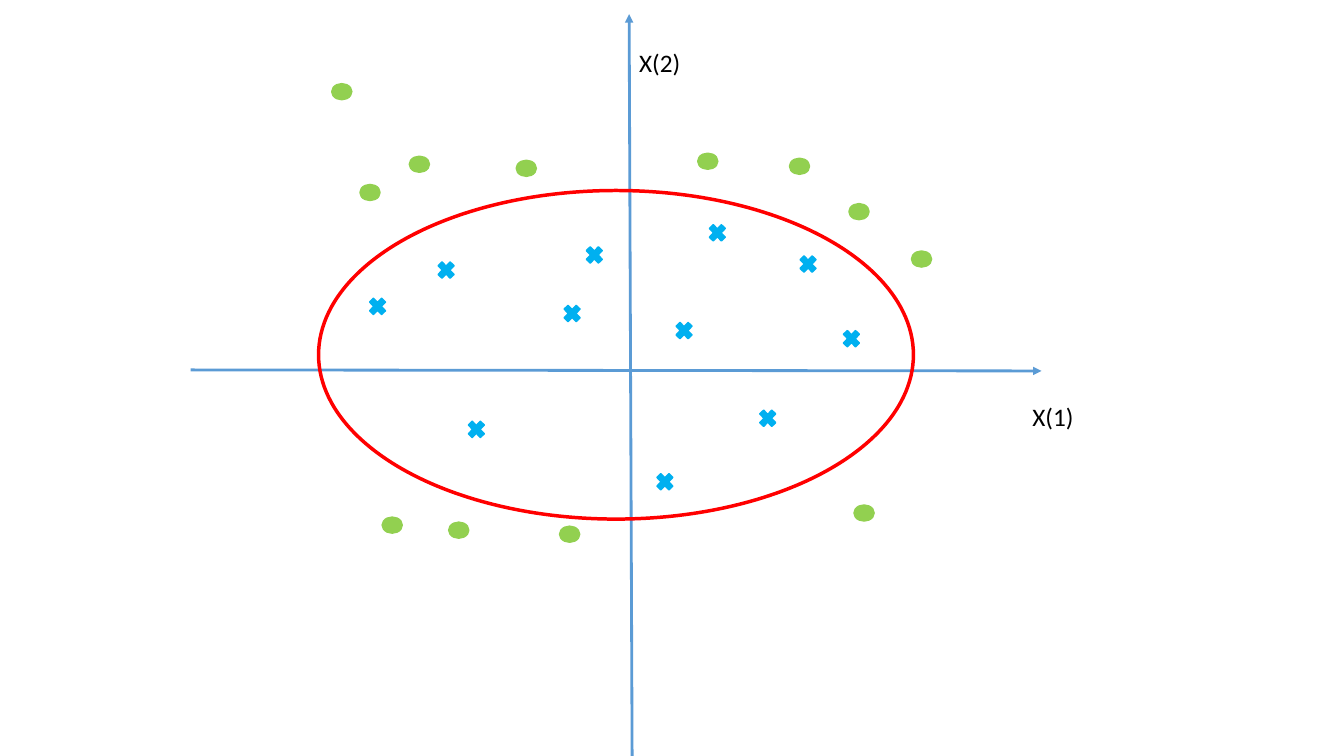
from lxml import etree
from pptx import Presentation
from pptx.dml.color import RGBColor
from pptx.enum.shapes import MSO_CONNECTOR, MSO_SHAPE
from pptx.enum.text import MSO_AUTO_SIZE
from pptx.oxml.ns import qn
from pptx.util import Inches, Pt

STRAIGHT = MSO_CONNECTOR.STRAIGHT
OVAL, CROSS = MSO_SHAPE.OVAL, MSO_SHAPE.MATH_MULTIPLY
FIT_TEXT = MSO_AUTO_SIZE.SHAPE_TO_FIT_TEXT

AXIS_BLUE = RGBColor(0x5B, 0x9B, 0xD5)
BOUNDARY_RED = RGBColor(0xFF, 0x00, 0x00)
OUTER_GREEN = RGBColor(0x92, 0xD0, 0x50)
INNER_BLUE = RGBColor(0x00, 0xB0, 0xF0)
BLACK = RGBColor(0, 0, 0)

# Axes: start x, start y, tip x, tip y
AXES = [(1.89, 3.67, 10.33, 3.68), (6.27, 7.57, 6.24, 0.14)]
AXIS_LABELS = [("X(1)", 10.14, 3.93), ("X(2)", 6.24, 0.42)]
LABEL_SIZE = (0.81, 0.4)
BOUNDARY = (3.16, 1.89, 5.9, 3.26)

# Left and top of each data point
OUTER_SIZE = (0.2, 0.16)
OUTER_POINTS = [
    (3.29, 0.83), (5.55, 5.22), (4.06, 1.55), (3.79, 5.13),
    (8.47, 5.01), (6.92, 1.52), (3.57, 1.83), (4.45, 5.18),
    (8.42, 2.02), (7.83, 1.57), (9.04, 2.49), (5.12, 1.59),
]
INNER_SIZE = (0.23, 0.24)
INNER_POINTS = [
    (6.67, 3.16), (5.78, 2.41), (7, 2.19), (4.31, 2.56),
    (7.9, 2.5), (6.48, 4.66), (8.33, 3.24), (4.61, 4.14),
    (3.63, 2.92), (7.5, 4.03), (5.56, 2.99),
]


def add_axis(slide, ends):
    axis = slide.shapes.add_connector(STRAIGHT, *map(Inches, ends))
    axis.line.color.rgb = AXIS_BLUE
    axis.line.width = Pt(2)
    line_xml = axis.line._get_or_add_ln()
    etree.SubElement(line_xml, qn("a:tailEnd"), type="triangle")
    etree.SubElement(axis._element.spPr, qn("a:effectLst"))


def add_label(slide, text, left, top):
    label = slide.shapes.add_textbox(*map(Inches, (left, top, *LABEL_SIZE)))
    frame = label.text_frame
    frame.word_wrap = True
    frame.auto_size = FIT_TEXT
    run = frame.paragraphs[0].add_run()
    run.text = text
    run.font.name = "Calibri"
    run.font.size = Pt(18)
    run.font.color.rgb = BLACK


def add_mark(slide, kind, box, line_color, line_width, fill_color=None):
    mark = slide.shapes.add_shape(kind, *map(Inches, box))
    mark.shadow.inherit = False
    if fill_color is None:
        mark.fill.background()
    else:
        mark.fill.solid()
        mark.fill.fore_color.rgb = fill_color
    mark.line.color.rgb = line_color
    mark.line.width = Pt(line_width)


def main():
    deck = Presentation()
    deck.slide_width, deck.slide_height = Inches(13.33), Inches(7.5)
    slide = deck.slides.add_slide(deck.slide_layouts[6])

    for ends in AXES:
        add_axis(slide, ends)
    for label in AXIS_LABELS:
        add_label(slide, *label)
    add_mark(slide, OVAL, BOUNDARY, BOUNDARY_RED, 2.5)
    for kind, points, size, color in [
        (OVAL, OUTER_POINTS, OUTER_SIZE, OUTER_GREEN),
        (CROSS, INNER_POINTS, INNER_SIZE, INNER_BLUE),
    ]:
        for point in points:
            add_mark(slide, kind, point + size, color, 1, color)

    deck.save("out.pptx")


if __name__ == "__main__":
    main()
